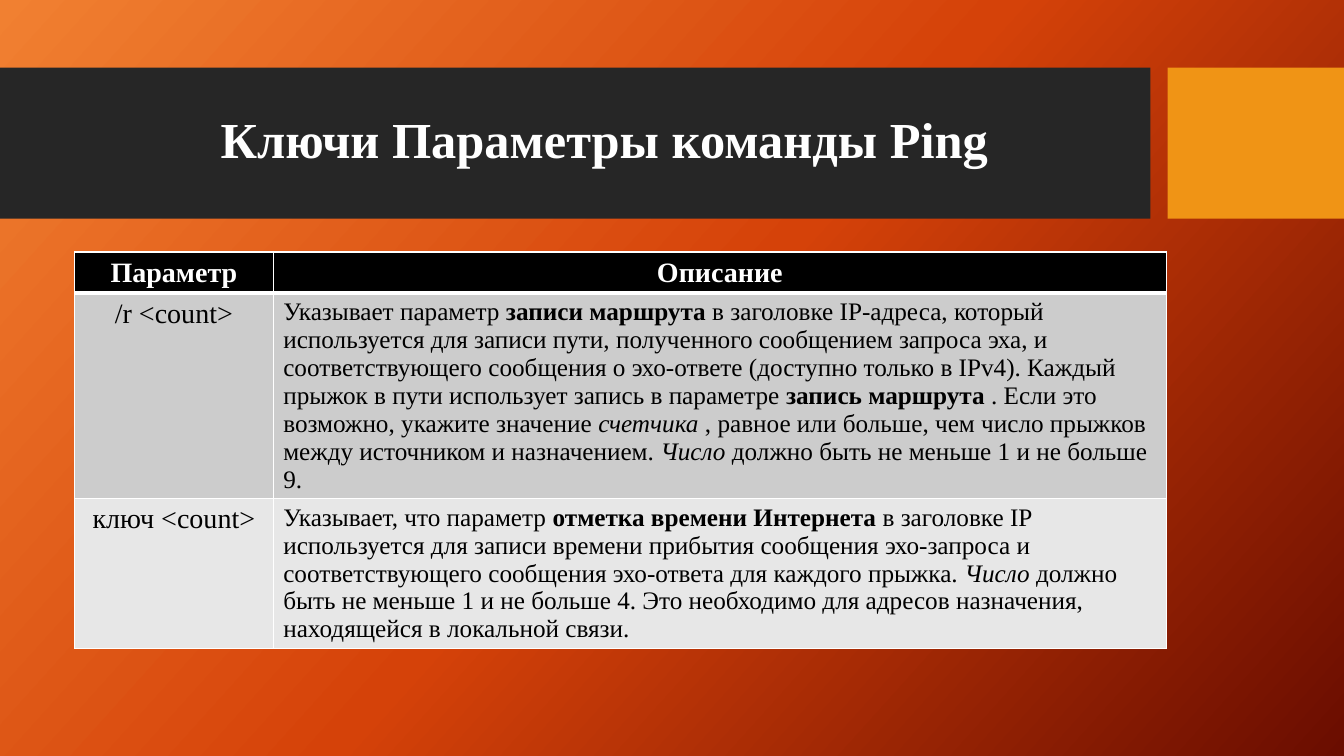
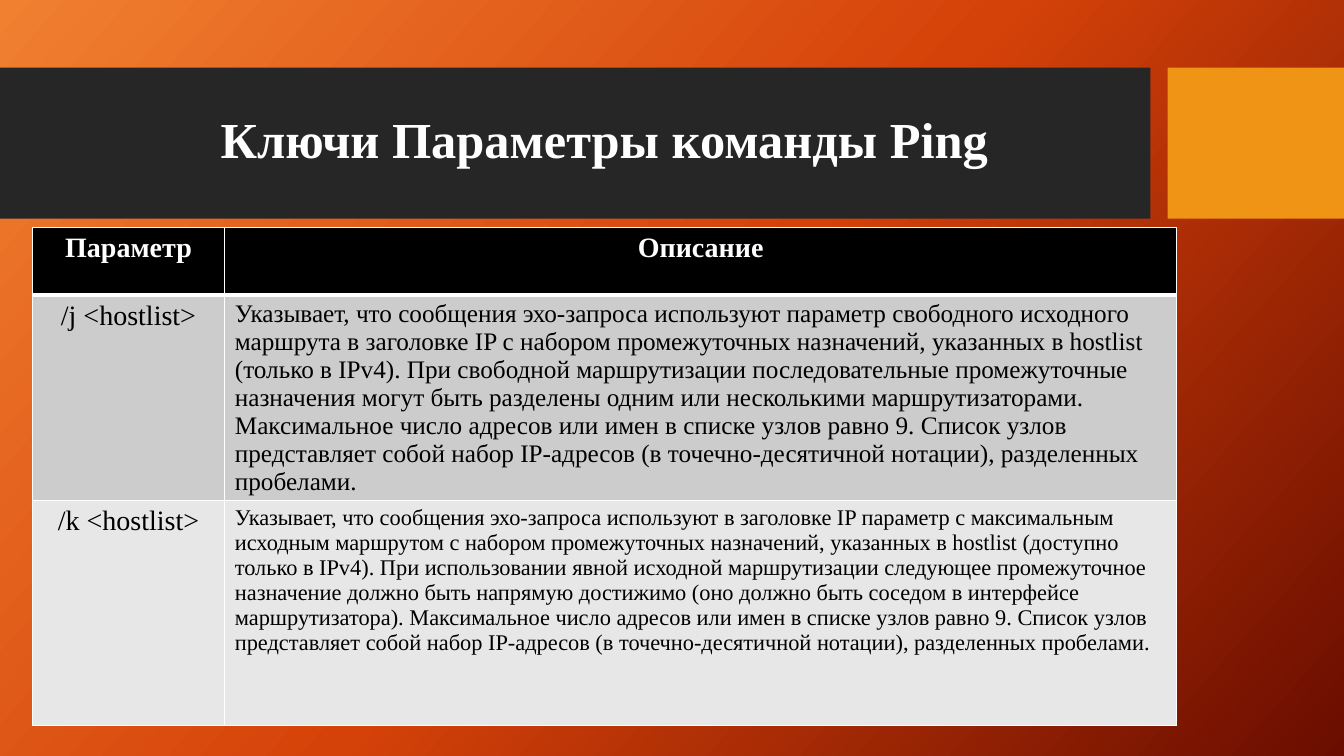
from copy import deepcopy

from lxml import etree
from pptx import Presentation
from pptx import util as u
from pptx.dml import color
from pptx.enum import shapes, text
from pptx.oxml import ns

PX = 9144
SLIDE_SIZE = (1333, 750)
FONT = "Times New Roman"
COLORS = {
    "glow": "F18031", "flame": "D54209", "ember": "6A0D00",
    "band": "262626", "accent": "F09415", "white": "FFFFFF",
    "black": "000000", "row_dark": "CCCCCC", "row_light": "E7E7E7",
}
GRADIENT = [("glow", 0), ("flame", 0.5), ("ember", 1)]
BANDS = [((0, 67, 1141, 150), "band"), ((1158, 67, 175, 150), "accent")]
TITLE = "Ключи Параметры команды Ping"
TITLE_BOX = (74, 82, 1051, 118)
HEADINGS = ["Параметр", "Описание"]
ROW_FILLS = ["black", "row_dark", "row_light"]

TABLES = [
    {
        "origin": (74, 250), "columns": [197, 886], "rows": [41, 203, 149],
        "entries": [
            ("/r <count>", 18, [
                ("Указывает параметр ", {}),
                ("записи маршрута", {"bold": True}),
                (" в заголовке IP-адреса, который используется для записи пути, "
                 "полученного сообщением запроса эха, и соответствующего сообщения "
                 "о эхо-ответе (доступно только в IPv4). Каждый прыжок в пути "
                 "использует запись в параметре ", {}),
                ("запись маршрута", {"bold": True}),
                (" . Если это возможно, укажите значение ", {}),
                ("счетчика", {"italic": True}),
                (" , равное или больше, чем число прыжков между источником и "
                 "назначением. ", {}),
                ("Число", {"italic": True}),
                (" должно быть не меньше 1 и не больше 9.", {}),
            ]),
            ("ключ <count>", 18, [
                ("Указывает, что параметр ", {}),
                ("отметка времени Интернета", {"bold": True}),
                (" в заголовке IP используется для записи времени прибытия "
                 "сообщения эхо-запроса и соответствующего сообщения эхо-ответа "
                 "для каждого прыжка. ", {}),
                ("Число", {"italic": True}),
                (" должно быть не меньше 1 и не больше 4. Это необходимо для "
                 "адресов назначения, находящейся в локальной связи.", {}),
            ]),
        ],
    },
    {
        "origin": (32, 226), "columns": [191, 944], "rows": [67, 203, 223],
        "entries": [
            ("/j <hostlist>", 18, [
                ("Указывает, что сообщения эхо-запроса используют параметр "
                 "свободного исходного маршрута в заголовке IP с набором "
                 "промежуточных назначений, указанных в hostlist (только в IPv4). "
                 "При свободной маршрутизации последовательные промежуточные "
                 "назначения могут быть разделены одним или несколькими "
                 "маршрутизаторами. Максимальное число адресов или имен в списке "
                 "узлов равно 9. Список узлов представляет собой набор IP-адресов "
                 "(в точечно-десятичной нотации), разделенных пробелами.", {}),
            ]),
            ("/k <hostlist>", 16, [
                ("Указывает, что сообщения эхо-запроса используют в заголовке IP "
                 "параметр с максимальным исходным маршрутом с набором "
                 "промежуточных назначений, указанных в hostlist (доступно только "
                 "в IPv4). При использовании явной исходной маршрутизации следующее "
                 "промежуточное назначение должно быть напрямую достижимо (оно "
                 "должно быть соседом в интерфейсе маршрутизатора). Максимальное "
                 "число адресов или имен в списке узлов равно 9. Список узлов "
                 "представляет собой набор IP-адресов (в точечно-десятичной "
                 "нотации), разделенных пробелами.", {}),
            ]),
        ],
    },
]


def rgb(name):
    """Return the palette colour with this name."""
    return color.RGBColor.from_string(COLORS[name])


def emu(lengths):
    """Turn px lengths into EMU."""
    return [u.Emu(length * PX) for length in lengths]


def apply(target, values):
    """Set every attribute in values on the target."""
    for name, value in values.items():
        setattr(target, name, value)


def write(paragraph, pieces, size, ink, **values):
    """Add formatted runs to a paragraph."""
    for words, emphasis in pieces:
        run = paragraph.add_run()
        run.text = words
        style = {"name": FONT, "size": u.Pt(size), "bold": False, "italic": False}
        apply(run.font, {**style, **values, **emphasis})
        run.font.color.rgb = rgb(ink)


def paint_background(master):
    """Give the master its three-colour diagonal gradient."""
    fill = master.background.fill
    fill.gradient()
    fill.gradient_angle = 318
    stop_list = master.element.xpath(".//p:bgPr//a:gsLst")[0]
    stop_list.insert(1, deepcopy(stop_list[0]))
    for stop, (name, position) in zip(fill.gradient_stops, GRADIENT):
        stop.color.rgb = rgb(name)
        stop.position = position


def add_bands(layout, slide):
    """Draw the title bands and hand them to the shared layout."""
    for index, (box, name) in enumerate(BANDS):
        band = slide.shapes.add_shape(shapes.MSO_SHAPE.RECTANGLE, *emu(box))
        band.shadow.inherit = False
        band.fill.solid()
        band.fill.fore_color.rgb = rgb(name)
        band.line.fill.background()
        layout.shapes.element.insert(2 + index, band.element)


def place_title(slide, box):
    """Fill and format the title placeholder."""
    title = slide.shapes.title
    apply(title, dict(zip(("left", "top", "width", "height"), emu(box))))
    apply(title.text_frame, {"vertical_anchor": text.MSO_ANCHOR.MIDDLE,
                             "word_wrap": True})
    paragraph = title.text_frame.paragraphs[0]
    apply(paragraph, {"alignment": text.PP_ALIGN.CENTER, "line_spacing": 0.9})
    write(paragraph, [(TITLE, {})], 36, "white", bold=True)


def set_borders(cell, top, bottom):
    """Draw white cell borders with widths in points."""
    properties = cell._tc.get_or_add_tcPr()
    for index, (side, width) in enumerate(zip("LRTB", (1, 1, top, bottom))):
        line = etree.Element(ns.qn(f"a:ln{side}"), w=str(u.Pt(width)))
        fill = etree.SubElement(line, ns.qn("a:solidFill"))
        etree.SubElement(fill, ns.qn("a:srgbClr"), val=COLORS["white"])
        properties.insert(index, line)


def place_table(slide, origin, columns, rows, entries):
    """Place the parameter table with its corner at the origin."""
    box = (*origin, sum(columns), sum(rows))
    table = slide.shapes.add_table(len(rows), len(columns), *emu(box)).table
    for column, width in zip(table.columns, emu(columns)):
        column.width = width
    for row, height in zip(table.rows, emu(rows)):
        row.height = height

    for index, heading in enumerate(HEADINGS):
        paragraph = table.cell(0, index).text_frame.paragraphs[0]
        paragraph.alignment = text.PP_ALIGN.CENTER
        write(paragraph, [(heading, {})], 20, "white", bold=True)
    for index, (parameter, size, description) in enumerate(entries, 1):
        key, details = (table.cell(index, column).text_frame.paragraphs[0]
                        for column in range(2))
        key.alignment = text.PP_ALIGN.CENTER
        write(key, [(parameter, {})], 20, "black")
        write(details, description, size, "black")

    for index, (row, name) in enumerate(zip(table.rows, ROW_FILLS)):
        for cell in row.cells:
            cell.fill.solid()
            cell.fill.fore_color.rgb = rgb(name)
            set_borders(cell, 3 if index == 1 else 1, 3 if index == 0 else 1)


def main():
    """Build and save the presentation."""
    presentation = Presentation()
    width, height = emu(SLIDE_SIZE)
    apply(presentation, {"slide_width": width, "slide_height": height})
    paint_background(presentation.slide_master)
    layout = presentation.slide_layouts[5]
    slides = [presentation.slides.add_slide(layout) for _ in TABLES]
    add_bands(layout, slides[0])
    for slide, content in zip(slides, TABLES):
        place_title(slide, TITLE_BOX)
        place_table(slide, **content)
    presentation.save("out.pptx")


if __name__ == "__main__":
    main()
